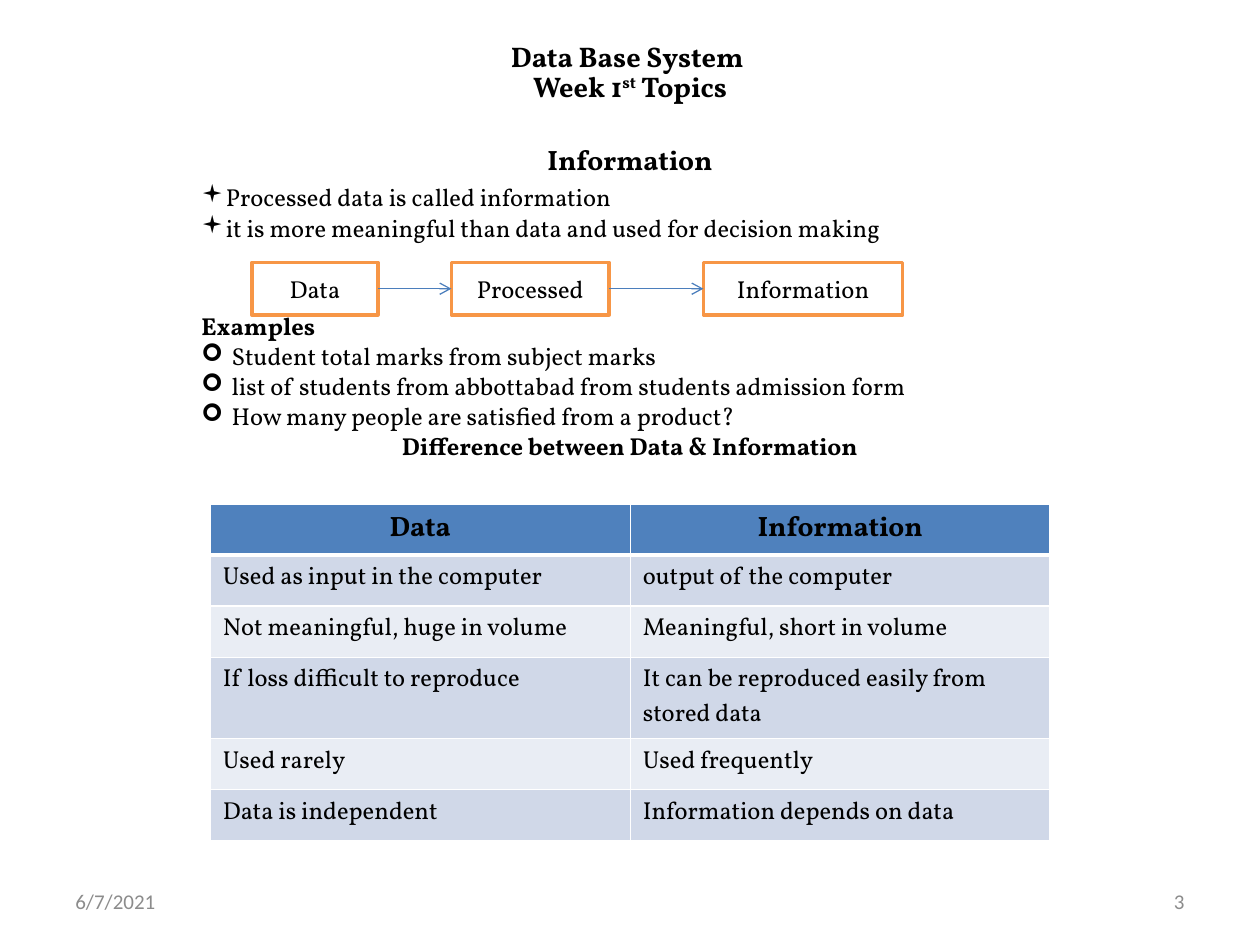
from lxml import etree
from pptx import Presentation
from pptx import util as u
from pptx.dml.color import RGBColor
from pptx.enum import shapes, text
from pptx.oxml.ns import qn

LEFT, CENTER, RIGHT = text.PP_ALIGN.LEFT, text.PP_ALIGN.CENTER, text.PP_ALIGN.RIGHT
TOP, MIDDLE = text.MSO_ANCHOR.TOP, text.MSO_ANCHOR.MIDDLE


def color(value):
    return RGBColor.from_string(value)


class SlideBuilder:
    font, size, ink = "Vollkorn", 14, "000000"
    accent, arrow_color, header = "F79646", "4B7EBC", "4F81BD"
    bands = ("D0D8E8", "E9EDF4")

    def __init__(self, slide):
        self.slide = slide

    def run(self, paragraph, words, size=None, bold=False, font=None, ink=None, raised=False):
        run = paragraph.add_run()
        run.text = words
        run.font.name = font or self.font
        run.font.size = u.Pt(size or self.size)
        run.font.bold = bold
        run.font.color.rgb = color(ink or self.ink)
        if raised:
            run._r.get_or_add_rPr().set("baseline", "30000")

    def textbox(self, left, top, width, height, anchor=TOP):
        frame = self.slide.shapes.add_textbox(
            u.Cm(left), u.Cm(top), u.Cm(width), u.Cm(height)).text_frame
        frame.word_wrap = True
        frame.vertical_anchor = anchor
        return frame

    def paragraph(self, frame, words, before=0, align=LEFT, bullet=None, indent=0, **style):
        first = frame.paragraphs[0]
        paragraph = frame.add_paragraph() if first.runs else first
        if bullet:
            properties = paragraph._p.get_or_add_pPr()
            properties.set("marL", str(u.Cm(indent)))
            properties.set("indent", str(-u.Cm(indent)))
            etree.SubElement(properties, qn("a:buFont"), typeface="Wingdings")
            etree.SubElement(properties, qn("a:buChar"), char=bullet)
        paragraph.alignment = align
        paragraph.space_before = u.Pt(before)
        self.run(paragraph, words, **style)

    def box(self, words, left, top, width, height):
        shape = self.slide.shapes.add_shape(
            shapes.MSO_SHAPE.RECTANGLE, u.Cm(left), u.Cm(top), u.Cm(width), u.Cm(height))
        shape.shadow.inherit = False
        shape.fill.solid()
        shape.fill.fore_color.rgb = color("FFFFFF")
        shape.line.color.rgb = color(self.accent)
        shape.line.width = u.Pt(2)
        shape.text_frame.vertical_anchor = MIDDLE
        self.paragraph(shape.text_frame, words, align=CENTER)

    def arrow(self, start, end, y):
        connector = self.slide.shapes.add_connector(
            shapes.MSO_CONNECTOR.STRAIGHT, u.Cm(start), u.Cm(y), u.Cm(end), u.Cm(y))
        connector.line.color.rgb = color(self.arrow_color)
        connector.line.width = u.Pt(0.75)
        etree.SubElement(connector.line._get_or_add_ln(), qn("a:tailEnd"), type="arrow")
        etree.SubElement(connector._element.spPr, qn("a:effectLst"))

    def borders(self, cell, bottom):
        properties = cell._tc.get_or_add_tcPr()
        for side, width in (("L", 1), ("R", 1), ("T", 1), ("B", bottom)):
            line = etree.SubElement(properties, qn("a:ln" + side), w=str(u.Pt(width)))
            fill = etree.SubElement(line, qn("a:solidFill"))
            etree.SubElement(fill, qn("a:srgbClr"), val="FFFFFF")

    def table(self, rows, left, top, width, heights):
        table = self.slide.shapes.add_table(
            len(rows), len(rows[0]), u.Cm(left), u.Cm(top),
            u.Cm(width), u.Cm(sum(heights))).table
        for index, (row, height) in enumerate(zip(rows, heights)):
            table.rows[index].height = u.Cm(height)
            is_header = index == 0
            for column, words in enumerate(row):
                cell = table.cell(index, column)
                self.borders(cell, 3 if is_header else 1)
                cell.fill.solid()
                cell.fill.fore_color.rgb = color(
                    self.header if is_header else self.bands[(index - 1) % 2])
                self.paragraph(cell.text_frame, words, bold=is_header,
                               align=CENTER if is_header else LEFT,
                               size=16 if is_header else self.size)


def main():
    presentation = Presentation()
    presentation.slide_width, presentation.slide_height = u.Cm(25.4), u.Cm(19.05)
    slide = presentation.slides.add_slide(presentation.slide_layouts[6])
    builder = SlideBuilder(slide)

    # Title
    frame = builder.textbox(1.9, 0.85, 21.6, 1.27, MIDDLE)
    title = frame.paragraphs[0]
    title.alignment, title.line_spacing = CENTER, 0.87
    builder.run(title, "Data Base System ", 16.2, True)
    title.add_line_break()
    builder.run(title, "Week 1", 16.2, True)
    builder.run(title, "st", 16.2, True, raised=True)
    builder.run(title, " Topics", 16.2, True)

    # Body text, with room for the flow before the examples
    body = builder.textbox(3.81, 2.75, 17.78, 14.8)
    builder.paragraph(body, "Information", align=CENTER, size=16, bold=True)
    for words, before in (
            ("Processed data is called information", 3.4),
            ("it is more meaningful than data and used for decision making", 1.1)):
        builder.paragraph(body, words, before, bullet="▪", indent=0.42)
    builder.paragraph(body, "Examples", 38.8, bold=True)
    for words in ("Student total marks from subject marks",
                  "list of students from abbottabad from students admission form",
                  "How many people are satisfied from a product?"):
        builder.paragraph(body, words, 0.3, bullet="➢", indent=0.61)
    builder.paragraph(body, "Difference between Data & Information", 0.3,
                      align=CENTER, bold=True)

    # Flow from data to information
    top, height = 5.29, 1.06
    flow = [("Data", 5.08, 2.54), ("Processed", 9.1, 3.18), ("Information", 14.18, 4.02)]
    for words, left, width in flow:
        builder.box(words, left, top, width, height)
    for (_, left, width), (_, end, _) in zip(flow, flow[1:]):
        builder.arrow(left + width, end, top + height / 2)

    # Comparison table
    builder.table([
        ("Data", "Information"),
        ("Used as input in the computer", "output of the computer"),
        ("Not meaningful, huge in volume", "Meaningful, short in volume"),
        ("If loss difficult to reproduce", "It can be reproduced easily from stored data"),
        ("Used rarely", "Used frequently"),
        ("Data is independent", "Information depends on data"),
    ], 4.24, 10.16, 16.93, [1.03, 1.03, 1.03, 1.64, 1.03, 1.03])

    # Footer
    for words, left, align in (("6/7/2021", 1.27, LEFT), ("3", 18.2, RIGHT)):
        footer = builder.textbox(left, 17.65, 5.93, 1.02, MIDDLE)
        builder.paragraph(footer, words, align=align, size=12, font="Calibri", ink="8C8C8C")

    presentation.save("out.pptx")


if __name__ == "__main__":
    main()
